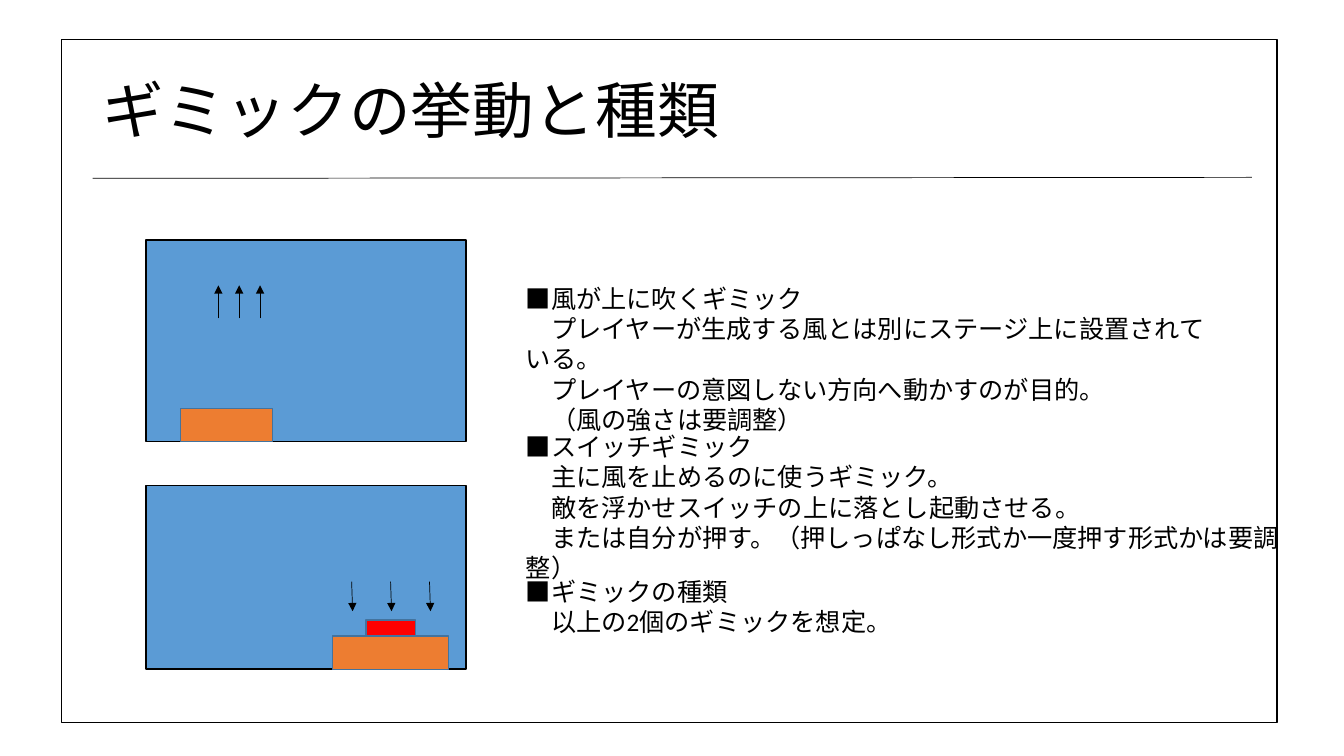
from dataclasses import dataclass

from lxml.etree import SubElement
from pptx import Presentation
from pptx.dml.color import RGBColor
from pptx.enum.shapes import MSO_CONNECTOR, MSO_SHAPE
from pptx.enum.text import MSO_ANCHOR, MSO_AUTO_SIZE, PP_ALIGN
from pptx.oxml.ns import qn
from pptx.util import Pt

COLOURS = {
    "ink": "000000",
    "stage": "5B9BD5",
    "platform": "ED7D31",
    "platform_edge": "43739E",
    "switch": "FF0000",
}


@dataclass
class Block:
    left: float
    top: float
    width: float
    height: float
    fill: str | None
    edge: str = "ink"


@dataclass
class Line:
    x1: float
    y1: float
    x2: float
    y2: float
    arrow: bool = True


@dataclass
class Note:
    top: float
    width: float
    height: float
    lines: list[str]


def colour(name: str) -> RGBColor:
    return RGBColor.from_string(COLOURS[name])


def write(frame, lines: list[str], *, size: float = 18, font: str = "Calibri",
          ink: str = "ink", spacing: float | None = None) -> None:
    for index, line in enumerate(lines):
        paragraph = frame.paragraphs[0] if index == 0 else frame.add_paragraph()
        paragraph.alignment = PP_ALIGN.LEFT
        if spacing is not None:
            paragraph.line_spacing = spacing
        run = paragraph.add_run()
        run.text = line
        run.font.size = Pt(size)
        run.font.name = font
        run.font.color.rgb = colour(ink)


def draw_block(slide, block: Block) -> None:
    shape = slide.shapes.add_shape(
        MSO_SHAPE.RECTANGLE, Pt(block.left), Pt(block.top),
        Pt(block.width), Pt(block.height))
    shape.shadow.inherit = False
    if block.fill is None:
        shape.fill.background()
    else:
        shape.fill.solid()
        shape.fill.fore_color.rgb = colour(block.fill)
    shape.line.color.rgb = colour(block.edge)
    shape.line.width = Pt(1)


def draw_line(slide, line: Line) -> None:
    connector = slide.shapes.add_connector(
        MSO_CONNECTOR.STRAIGHT, Pt(line.x1), Pt(line.y1), Pt(line.x2), Pt(line.y2))
    connector.line.color.rgb = colour("ink")
    connector.line.width = Pt(0.5)
    if line.arrow:
        SubElement(connector.line._get_or_add_ln(), qn("a:tailEnd"), type="triangle")
    SubElement(connector._element.spPr, qn("a:effectLst"))


def draw_note(slide, note: Note) -> None:
    box = slide.shapes.add_textbox(
        Pt(368.6), Pt(note.top), Pt(note.width), Pt(note.height))
    box.text_frame.word_wrap = True
    write(box.text_frame, note.lines)


def draw_title(slide, text: str) -> None:
    title = slide.shapes.title
    title.left, title.top = Pt(66.2), Pt(28.8)
    title.width, title.height = Pt(828), Pt(104.4)
    frame = title.text_frame
    frame.auto_size = MSO_AUTO_SIZE.NONE
    frame.vertical_anchor = MSO_ANCHOR.MIDDLE
    write(frame, [text], size=44, spacing=0.9)


# Stage sketches: wind above, switch below
BLOCKS = [
    Block(104.4, 171.4, 228.4, 144, "stage"),
    Block(128.9, 291.6, 65.6, 23.8, "platform", "platform_edge"),
    Block(104.4, 347, 228.4, 131, "stage"),
    Block(237.6, 454.3, 82.8, 23.8, "platform", "platform_edge"),
    Block(261.4, 442.8, 35.4, 11.5, "switch", "platform_edge"),
]
WIND = [Line(156 + 14.9 * i, 227.5, 156 + 14.9 * i, 203.8) for i in range(3)]
PRESS = [Line(251.2 + 27.8 * i, 415.4, 251.9 + 27.8 * i, 436.6) for i in range(3)]

# Explanations
NOTES = [
    Note(198.7, 502.6, 94.3, [
        "■風が上に吹くギミック",
        "　プレイヤーが生成する風とは別にステージ上に設置されている。",
        "　プレイヤーの意図しない方向へ動かすのが目的。",
        "　（風の強さは要調整）",
    ]),
    Note(304.6, 581.8, 138.2, [
        "■スイッチギミック",
        "　主に風を止めるのに使うギミック。",
        "　敵を浮かせスイッチの上に落とし起動させる。",
        "　または自分が押す。（押しっぱなし形式か一度押す形式かは要調整）",
    ]),
    Note(408.2, 502.6, 51.1, [
        "■ギミックの種類",
        "　以上の2個のギミックを想定。",
    ]),
]

# Page frame and rule under the title
FRAME = Block(43.9, 28.1, 868.3, 488.2, None)
TITLE_RULE = Line(66.2, 127.4, 894.2, 126.7, arrow=False)


def main() -> None:
    deck = Presentation()
    deck.slide_width, deck.slide_height = Pt(960), Pt(540)
    slide = deck.slides.add_slide(deck.slide_layouts[5])

    draw_title(slide, "ギミックの挙動と種類")
    for block in BLOCKS:
        draw_block(slide, block)
    for note in NOTES:
        draw_note(slide, note)
    for arrow in WIND + PRESS:
        draw_line(slide, arrow)
    draw_block(slide, FRAME)
    draw_line(slide, TITLE_RULE)

    deck.save("out.pptx")


if __name__ == "__main__":
    main()
